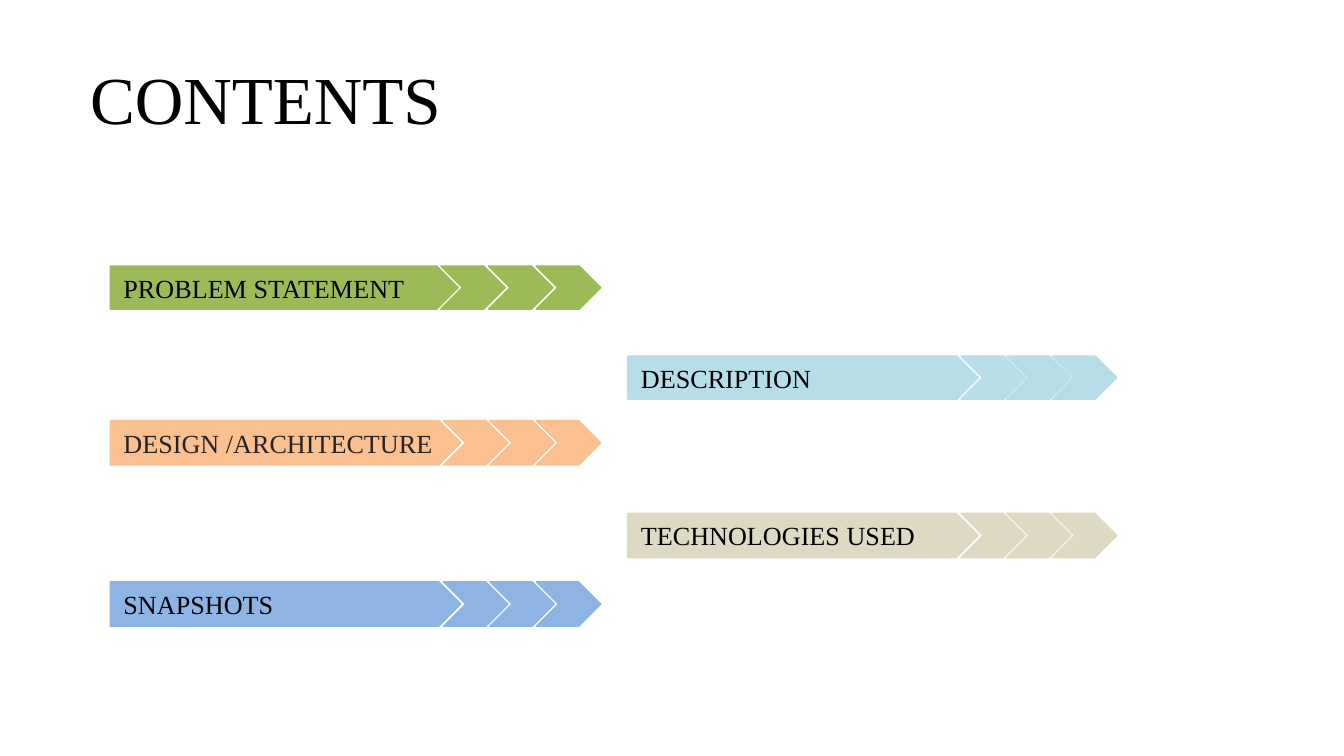
from pptx import Presentation
from pptx.dml.color import RGBColor
from pptx.enum import shapes as sh, text as tx
from pptx.util import Inches, Pt

FONT = "Times New Roman"
LEFT, RIGHT = 0.82, 4.67
ITEMS = [
    ("PROBLEM STATEMENT", LEFT, 1.98, 2.59, 0.32, "9BBB59", "000000"),
    ("DESCRIPTION", RIGHT, 2.65, 2.61, 0.32, "B7DEE8", "000000"),
    ("DESIGN /ARCHITECTURE", LEFT, 3.13, 2.61, 0.33, "FAC090", "242424"),
    ("TECHNOLOGIES USED", RIGHT, 3.82, 2.61, 0.33, "DDD9C3", "000000"),
    ("SNAPSHOTS", LEFT, 4.33, 2.61, 0.33, "8EB4E3", "000000"),
]
TIP, LAP, COUNT = 0.48, 0.13, 3
END = {LEFT: 3.99, RIGHT: 7.83}


def color(code):
    return RGBColor.from_string(code)


def write(frame, words, size, code):
    frame.word_wrap = True
    frame.vertical_anchor = tx.MSO_ANCHOR.MIDDLE
    par = frame.paragraphs[0]
    par.alignment = tx.PP_ALIGN.LEFT
    run = par.add_run()
    run.text = words
    run.font.name = FONT
    run.font.size = Pt(size)
    run.font.color.rgb = color(code)


def arrow(group, kind, x, y, w, h, code):
    part = group.shapes.add_shape(kind, Inches(x), Inches(y), Inches(w), Inches(h))
    part.adjustments[0] = 0.5
    part.shadow.inherit = False
    part.fill.solid()
    part.fill.fore_color.rgb = color(code)
    part.line.color.rgb = color(code)
    part.line.width = Pt(0.75)
    return part


deck = Presentation()
deck.slide_width = Inches(10)
deck.slide_height = deck.slide_width * 9 // 16
slide = deck.slides.add_slide(deck.slide_layouts[5])

title = slide.shapes.title
title.left, title.top = Inches(0.57), Inches(0.31)
title.width, title.height = Inches(8.85), Inches(0.84)
write(title.text_frame, "CONTENTS", 36, "000000")

for words, x, y, w, h, fill, ink in ITEMS:
    group = slide.shapes.add_group_shape()
    body = arrow(group, sh.MSO_SHAPE.PENTAGON, x, y, w, h, fill)
    frame = body.text_frame
    frame.margin_left = frame.margin_right = Inches(0.1)
    frame.margin_top = frame.margin_bottom = Inches(0.1)
    write(frame, words, 14, ink)
    first = x + w - LAP
    step = (END[x] - first) / (COUNT - 1)
    for i in range(COUNT):
        arrow(group, sh.MSO_SHAPE.CHEVRON, first + i * step, y, TIP, h, fill)

deck.save("out.pptx")
